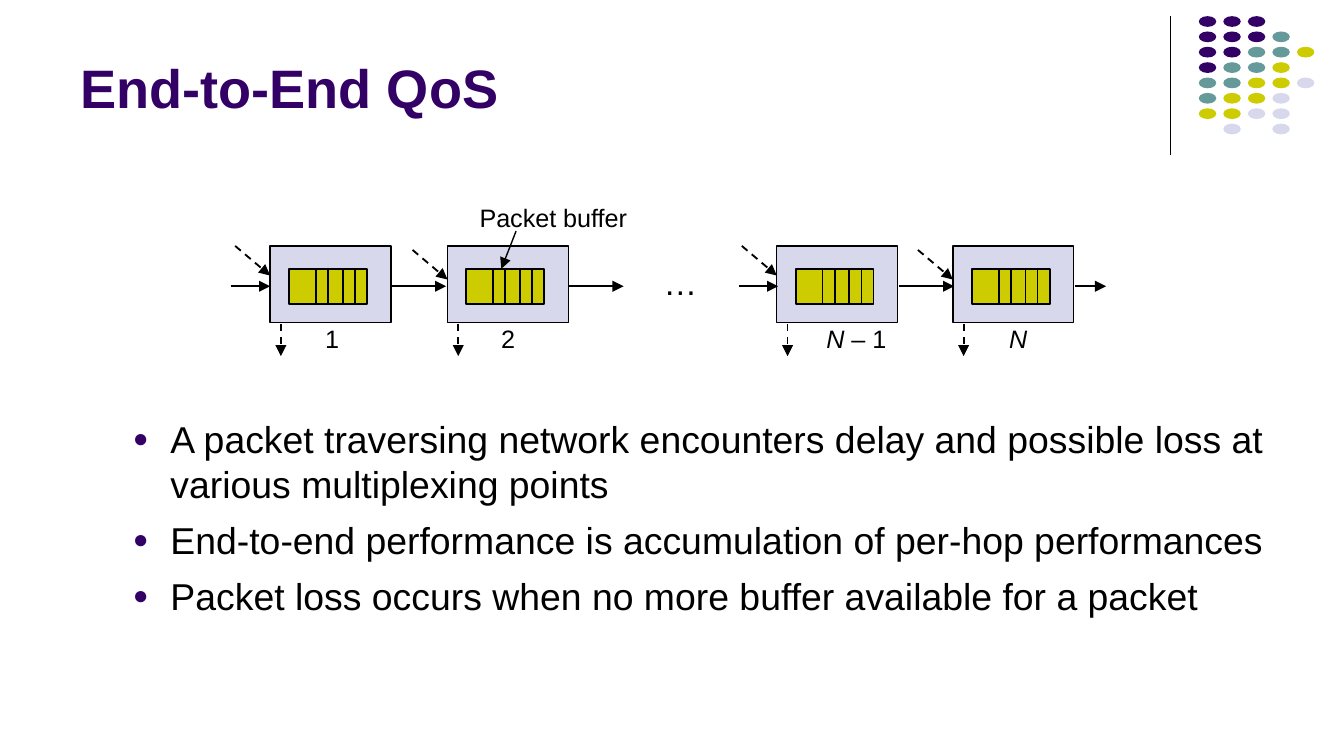
from lxml import etree
from pptx import Presentation
from pptx.dml.color import RGBColor
from pptx.enum.dml import MSO_LINE
from pptx.enum.shapes import MSO_CONNECTOR, MSO_SHAPE
from pptx.enum.text import MSO_ANCHOR as ANCHOR
from pptx.oxml.ns import qn
from pptx.util import Inches, Pt

BLACK = RGBColor(0x00, 0x00, 0x00)
PURPLE = RGBColor(0x33, 0x00, 0x66)
TEAL = RGBColor(0x66, 0x99, 0x99)
OLIVE = RGBColor(0xCC, 0xCC, 0x00)
LAVENDER = RGBColor(0xD8, 0xD8, 0xEC)

presentation = Presentation()
presentation.slide_width = Inches(10)
presentation.slide_height = Inches(10 * 9 / 16)
slide = presentation.slides.add_slide(presentation.slide_layouts[6])
shapes = slide.shapes


def add_line(x1, y1, x2, y2, width=1, arrow=True, dashed=False):
    """Draw a black line, by default with an arrowhead at its end."""
    line = shapes.add_connector(MSO_CONNECTOR.STRAIGHT, Inches(x1), Inches(y1),
                                Inches(x2), Inches(y2))
    line.line.color.rgb = BLACK
    line.line.width = Pt(width)
    if dashed:
        line.line.dash_style = MSO_LINE.DASH
    if arrow:
        etree.SubElement(line.line._get_or_add_ln(), qn("a:tailEnd"), type="triangle")
    etree.SubElement(line._element.spPr, qn("a:effectLst"))


def add_text(at, paragraphs, size, color=BLACK, wrap=True, anchor=ANCHOR.TOP):
    """Add a text box from lists of (text, italic) runs; return its paragraphs."""
    frame = shapes.add_textbox(*map(Inches, at)).text_frame
    frame.word_wrap = wrap
    frame.vertical_anchor = anchor
    for index, runs in enumerate(paragraphs):
        paragraph = frame.add_paragraph() if index else frame.paragraphs[0]
        paragraph.font.name = "Arial"
        paragraph.font.size = Pt(size)
        paragraph.font.color.rgb = color
        for text, italic in runs:
            run = paragraph.add_run()
            run.text = text
            if italic:
                run.font.italic = True
    return frame.paragraphs


# Corner ornament: a rule and a grid of dots, one letter per dot
add_line(8.71, 0.12, 8.71, 1.15, width=0.75, arrow=False)
DOT_COLORS = {"P": PURPLE, "T": TEAL, "O": OLIVE, "L": LAVENDER}
DOT_ROWS = ["PPP", "PPPT", "PPTTO", "PTTO", "TTOOL", "TOOL", "OOLL", " L L"]
for row, letters in enumerate(DOT_ROWS):
    for column, letter in enumerate(letters):
        if letter == " ":
            continue
        dot = shapes.add_shape(MSO_SHAPE.OVAL, Inches(8.92 + 0.73 / 4 * column),
                               Inches(0.12 + 0.8 / 7 * row), Inches(0.13), Inches(0.08))
        dot.shadow.inherit = False
        dot.fill.solid()
        dot.fill.fore_color.rgb = DOT_COLORS[letter]
        dot.line.fill.background()

title, = add_text((0.5, 0.1, 8.25, 0.84), [[("End-to-End QoS", False)]], 29,
                  color=PURPLE, anchor=ANCHOR.BOTTOM)
title.font.bold = True

# Hops: left edge, top of the crossing arrow, label left, label width, label runs
FLOW_Y = 2.13
HOPS = [
    (2.01, 1.83, 2.32, 0.31, [("1", False)]),
    (3.33, 1.86, 3.63, 0.31, [("2", False)]),
    (5.78, 1.83, 6.05, 0.65, [("N ", True), ("– 1", False)]),
    (7.09, 1.86, 7.41, 0.34, [("N", True)]),
]
for left, cross_y, label_left, label_width, label in HOPS:
    for x, y, width, height, color, border in (
            (left, 1.83, 0.9, 0.57, LAVENDER, 0.75),
            (left + 0.14, 2, 0.58, 0.26, OLIVE, 1)):
        box = shapes.add_shape(MSO_SHAPE.RECTANGLE, Inches(x), Inches(y),
                               Inches(width), Inches(height))
        box.shadow.inherit = False
        box.fill.solid()
        box.fill.fore_color.rgb = color
        box.line.color.rgb = BLACK
        box.line.width = Pt(border)
    for offset in (0.34, 0.43, 0.54, 0.63):
        add_line(left + offset, 2, left + offset, 2.26, arrow=False)
    add_line(left - 0.26, cross_y, left, cross_y + 0.22, dashed=True)
    add_line(left + 0.08, 2.41, left + 0.08, 2.65, dashed=True)
    add_text((label_left, 2.36, label_width, 0.33), [label], 13.5, wrap=False)

for start, end in ((1.72, 2.01), (2.91, 3.32), (4.23, 4.64),
                   (5.5, 5.79), (6.69, 7.1), (8, 8.23)):
    add_line(start, FLOW_Y, end, FLOW_Y)

add_text((3.47, 1.46, 1.31, 0.33), [[("Packet buffer", False)]], 13.5, wrap=False)
add_line(3.84, 1.72, 3.73, 2, width=0.75)
ellipsis, = add_text((4.84, 1.9, 0.4, 0.4), [[("…", False)]], 18)
ellipsis.space_before = Pt(9)

POINTS = [
    "A packet traversing network encounters delay and possible loss at "
    "various multiplexing points",
    "End-to-end performance is accumulation of per-hop performances",
    "Packet loss occurs when no more buffer available for a packet",
]
for paragraph in add_text((0.89, 3.05, 8.71, 1.56),
                          [[(point, False)] for point in POINTS], 20):
    paragraph.space_before = Pt(6)
    properties = paragraph._p.get_or_add_pPr()
    properties.set("marL", str(Inches(0.28)))
    properties.set("indent", str(-Inches(0.28)))
    bullet = [etree.Element(qn("a:buClr")),
              etree.Element(qn("a:buSzPct"), val="70000"),
              etree.Element(qn("a:buFont"), typeface="Arial"),
              etree.Element(qn("a:buChar"), char="●")]
    etree.SubElement(bullet[0], qn("a:srgbClr"), val=str(PURPLE))
    position = properties.index(properties.find(qn("a:spcBef"))) + 1
    properties[position:position] = bullet

presentation.save("out.pptx")
